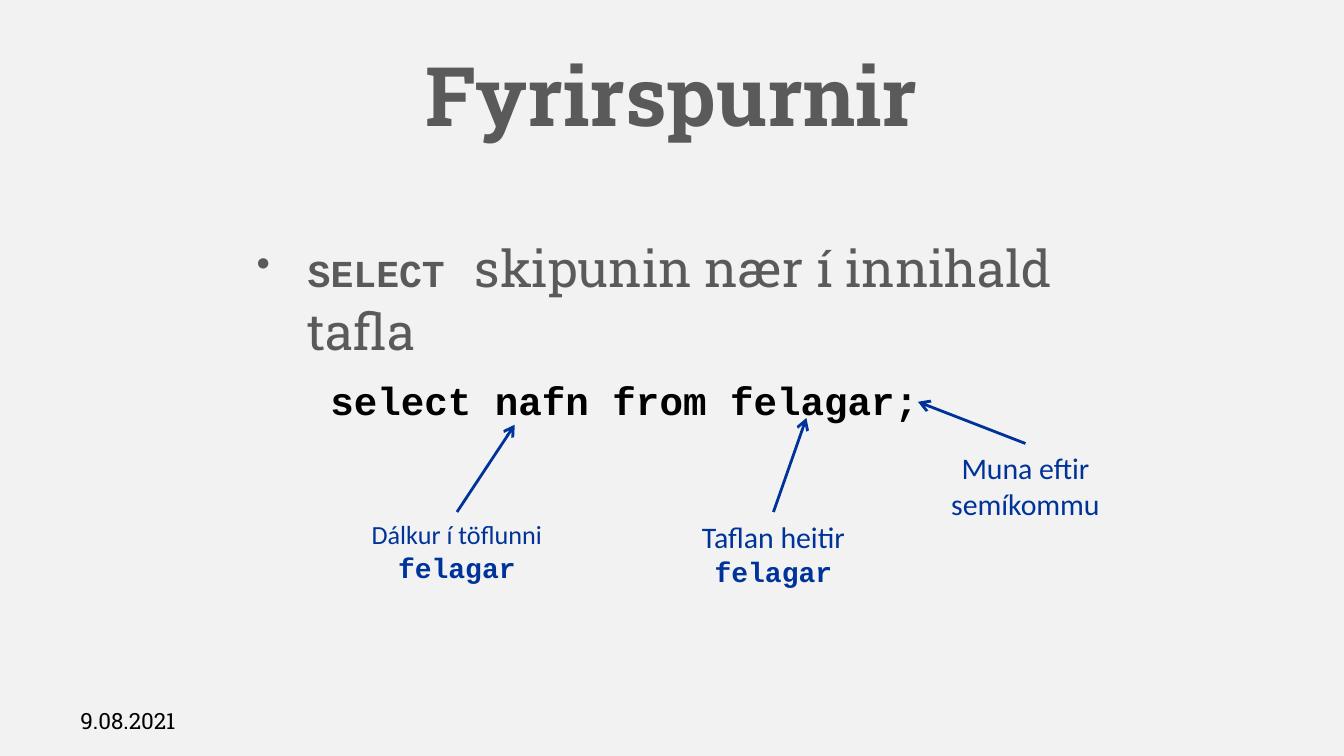
from dataclasses import dataclass

from lxml import etree
from pptx import Presentation, util as u
from pptx.dml.color import RGBColor
from pptx.enum import shapes, text
from pptx.oxml.ns import qn


@dataclass(frozen=True)
class Theme:
    """Colours, fonts and type sizes of the slide."""
    paper: str = "F2F2F2"
    grey: str = "5A5A5A"
    black: str = "000000"
    blue: str = "003399"
    slab: str = "Roboto Slab"
    mono: str = "Courier New"
    sans: str = "Calibri"
    title: float = 44
    gap: float = 32.3
    body: float = 27.2
    keyword: float = 20.4
    code: float = 21
    label: float = 16
    small_label: float = 14
    label_code: float = 15
    date: float = 12


THEME = Theme()


def style(font, name, size, color, bold=False):
    """Set the typeface, size, colour and weight of a font."""
    font.name, font.size, font.bold = name, u.Pt(size), bold
    font.color.rgb = RGBColor.from_string(color)


def place(shape, left, top, width, height):
    """Move and size a shape, in inches."""
    shape.left, shape.top = u.Inches(left), u.Inches(top)
    shape.width, shape.height = u.Inches(width), u.Inches(height)


def add_title(page, wording):
    """Fill and format the title placeholder."""
    title = page.shapes.title
    place(title, 0.5, 0.23, 9, 0.94)
    frame = title.text_frame
    frame.text = wording
    frame.auto_size = text.MSO_AUTO_SIZE.NONE
    frame.vertical_anchor = text.MSO_ANCHOR.MIDDLE
    para = frame.paragraphs[0]
    para.alignment = text.PP_ALIGN.CENTER
    style(para.font, THEME.slab, THEME.title, THEME.grey, True)


def add_bullet(page, keyword, wording):
    """Fill the body placeholder with one bullet that opens with a keyword."""
    body = page.placeholders[1]
    place(body, 1.81, 1.62, 6.38, 0.72)
    frame = body.text_frame
    frame.auto_size = text.MSO_AUTO_SIZE.NONE
    frame.margin_top = u.Inches(0.07)
    para = frame.paragraphs[0]
    properties = para._p.get_or_add_pPr()
    properties.set("marL", str(u.Inches(0.38)))
    properties.set("indent", str(-u.Inches(0.38)))
    etree.SubElement(properties, qn("a:buChar")).set("char", "•")
    para.space_before = u.Pt(0)
    runs = ((keyword, THEME.mono, THEME.keyword, True),
            (" ", THEME.slab, THEME.gap, False),
            (wording, THEME.slab, THEME.body, False))
    for words, name, size, bold in runs:
        span = para.add_run()
        span.text = words
        style(span.font, name, size, THEME.grey, bold)
        if words == " ":
            span.font._element.set("spc", "800")


def add_text(page, area, lines, color, align=text.PP_ALIGN.LEFT, wrap=True):
    """Add a text box whose lines are (words, typeface, size, bold)."""
    box = page.shapes.add_textbox(*map(u.Inches, area))
    frame = box.text_frame
    frame.word_wrap = wrap
    for index, (words, name, size, bold) in enumerate(lines):
        para = frame.add_paragraph() if index else frame.paragraphs[0]
        para.text = words
        para.alignment = align
        style(para.font, name, size, color, bold)
    return box


def add_callout(page, area, lines, target, wrap=True):
    """Add a centred label with an arrow from its top to the target."""
    box = add_text(page, area, lines, THEME.blue, text.PP_ALIGN.CENTER, wrap)
    end_x, end_y = map(u.Inches, target)
    arrow = page.shapes.add_connector(
        shapes.MSO_CONNECTOR.STRAIGHT, box.left, box.top, end_x, end_y)
    arrow.begin_connect(box, 0)
    arrow.line.color.rgb = RGBColor.from_string(THEME.blue)
    arrow.line.width = u.Pt(1.5)
    etree.SubElement(arrow.line._get_or_add_ln(), qn("a:tailEnd")).set("type", "arrow")
    etree.SubElement(arrow._element.spPr, qn("a:effectLst"))


def main():
    """Build the slide and save it."""
    deck = Presentation()
    deck.slide_width = u.Inches(10)
    deck.slide_height = deck.slide_width * 9 // 16
    page = deck.slides.add_slide(deck.slide_layouts[1])
    page.background.fill.solid()
    page.background.fill.fore_color.rgb = RGBColor.from_string(THEME.paper)

    add_title(page, "Fyrirspurnir")
    add_bullet(page, "SELECT", "skipunin nær í innihald tafla")
    add_text(page, (2.36, 2.75, 4.69, 0.45),
             [("select nafn from felagar;", THEME.mono, THEME.code, True)], THEME.black)

    table_name = ("felagar", THEME.mono, THEME.label_code, True)
    add_callout(page, (2.63, 3.81, 1.54, 0.59),
                [("Dálkur í töflunni", THEME.sans, THEME.small_label, False), table_name],
                (3.83, 3.16))
    add_callout(page, (5.08, 3.81, 1.35, 0.62),
                [("Taflan heitir", THEME.sans, THEME.label, False), table_name],
                (6, 3.11))
    add_callout(page, (6.97, 3.3, 1.32, 0.64),
                [(words, THEME.sans, THEME.label, False)
                 for words in ("Muna eftir", "semíkommu")],
                (6.83, 2.99), wrap=False)

    date = add_text(page, (0.5, 5.21, 2.33, 0.3),
                    [("9.08.2021", THEME.slab, THEME.date, False)], THEME.black)
    date.text_frame.vertical_anchor = text.MSO_ANCHOR.MIDDLE
    deck.save("out.pptx")


if __name__ == "__main__":
    main()
